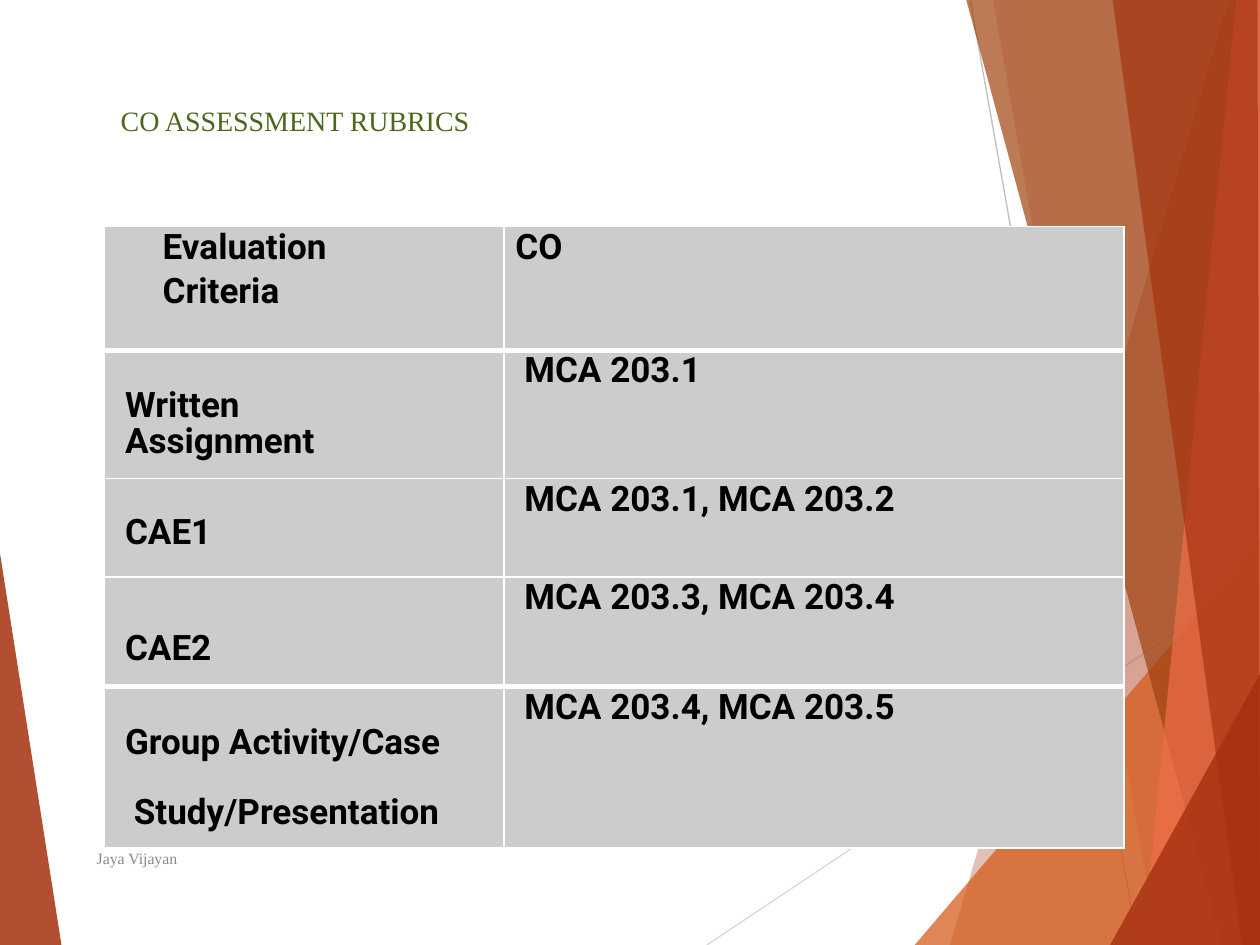
import pptx
import pptx.util
import pptx.dml.color
import pptx.enum.shapes
import pptx.enum.text
import pptx.oxml.ns
from lxml import etree

Cm, Pt = pptx.util.Cm, pptx.util.Pt
qn = pptx.oxml.ns.qn

WIDTH, HEIGHT = 25.4, 19.05
COLOURS = {
    "rust": "A5300F", "orange": "D55816", "brown": "A04210", "coral": "EE6E4A",
    "light_line": "D9D9D9", "grey_line": "BFBFBF", "cell": "CCCCCC",
    "border": "FFFFFF", "text": "000000", "footer": "898989", "title": "4D661B",
}
RAYS = [
    ((14.25, HEIGHT), (WIDTH, 11.61), "light_line"),
    ((19.56, 0), (22.94, HEIGHT), "grey_line"),
]
LEFT_FACET = ([(0, 11.15), (1.24, HEIGHT), (0, HEIGHT)], "rust", 85)
RIGHT_FACETS = [
    ([(24.77, 0), (19.15, HEIGHT), (WIDTH, HEIGHT), (WIDTH, 0)], "rust", 30),
    ([(20.02, 0), (23.34, HEIGHT), (WIDTH, HEIGHT), (WIDTH, 0)], "rust", 20),
    ([(18.44, HEIGHT), (WIDTH, 10.9), (WIDTH, HEIGHT)], "orange", 72),
    ([(19.48, 0), (24.64, HEIGHT), (WIDTH, HEIGHT), (WIDTH, 0)], "brown", 70),
    ([(24.92, 0), (23.04, HEIGHT), (WIDTH, HEIGHT), (WIDTH, 0)], "coral", 70),
    ([(22.43, 0), (25.04, HEIGHT), (WIDTH, HEIGHT), (25.35, 0)], "rust", 65),
    ([(22.38, HEIGHT), (WIDTH, 13.59), (WIDTH, HEIGHT)], "rust", 80),
]

INDENT = 0.41
COLUMN_WIDTHS = [8.05, 12.5]
# Each row: height, criteria top margin, criteria lines, outcome, outcome indent.
# Each line: text, indent, line spacing, space before.
RUBRICS = [
    (2.49, 0, [("Evaluation", 1.17, 1, 0), ("Criteria", 1.17, 1, 2)], "CO", 0.23),
    (2.59, 20, [("Written", INDENT, 1, 0), ("Assignment", INDENT, 0.5, 6)],
     "MCA 203.1", INDENT),
    (1.98, 19, [("CAE1", INDENT, 1, 0)], "MCA 203.1, MCA 203.2", INDENT),
    (2.21, 29, [("CAE2", INDENT, 1, 0)], "MCA 203.3, MCA 203.4", INDENT),
    (3.25, 20, [("Group Activity/Case", INDENT, 1, 0),
                ("Study/Presentation", 0.59, 0.6, 24)],
     "MCA 203.4, MCA 203.5", INDENT),
]
HEAVY_RULES_BELOW = {0, 3}


def rgb(name):
    return pptx.dml.color.RGBColor.from_string(COLOURS[name])


def add_run(paragraph, text, font, size, colour, bold=False):
    run = paragraph.add_run()
    run.text = text
    run.font.name = font
    run.font.size = Pt(size)
    run.font.bold = bold
    run.font.color.rgb = rgb(colour)


def add_facet(slide, points, colour, opacity):
    outline = slide.shapes.build_freeform(*map(Cm, points[0]), scale=1.0)
    outline.add_line_segments([(Cm(x), Cm(y)) for x, y in points[1:]], close=True)
    facet = outline.convert_to_shape()
    facet.shadow.inherit = False
    facet.line.fill.background()
    facet.fill.solid()
    facet.fill.fore_color.rgb = rgb(colour)
    shade = next(facet.fill._xPr.iter(qn("a:srgbClr")))
    etree.SubElement(shade, qn("a:alpha"), val=str(opacity * 1000))


def add_ray(slide, start, end, colour):
    ray = slide.shapes.add_connector(
        pptx.enum.shapes.MSO_CONNECTOR.STRAIGHT, *map(Cm, start + end))
    ray.line.color.rgb = rgb(colour)
    ray.line.width = Pt(0.75)
    etree.SubElement(ray._element.spPr, qn("a:effectLst"))


def place_line(shape, box, text, size, colour):
    shape.left, shape.top, shape.width, shape.height = map(Cm, box)
    frame = shape.text_frame
    frame.word_wrap = True
    frame.auto_size = pptx.enum.text.MSO_AUTO_SIZE.NONE
    frame.vertical_anchor = pptx.enum.text.MSO_ANCHOR.MIDDLE
    paragraph = frame.paragraphs[0]
    paragraph.alignment = pptx.enum.text.PP_ALIGN.LEFT
    add_run(paragraph, text, "Times New Roman", size, colour)


def set_borders(cell, top, bottom):
    properties = cell._tc.get_or_add_tcPr()
    for side, width in (("L", 1), ("R", 1), ("T", top), ("B", bottom)):
        edge = etree.SubElement(properties, qn(f"a:ln{side}"), w=str(Pt(width)))
        fill = etree.SubElement(edge, qn("a:solidFill"))
        etree.SubElement(fill, qn("a:srgbClr"), val=COLOURS["border"])


def fill_cell(cell, lines, top_margin, top_rule, bottom_rule):
    set_borders(cell, top_rule, bottom_rule)
    cell.fill.solid()
    cell.fill.fore_color.rgb = rgb("cell")
    cell.margin_left = cell.margin_right = cell.margin_bottom = 0
    cell.margin_top = Pt(top_margin)
    for number, (text, indent, spacing, before) in enumerate(lines):
        frame = cell.text_frame
        paragraph = frame.add_paragraph() if number else frame.paragraphs[0]
        properties = paragraph._p.get_or_add_pPr()
        properties.set("marL", str(Cm(indent)))
        properties.set("indent", "0")
        paragraph.line_spacing = spacing
        paragraph.space_before = Pt(before)
        add_run(paragraph, text, "Roboto", 20, "text", bold=True)


def add_rubrics(slide):
    total_height = sum(row[0] for row in RUBRICS)
    table = slide.shapes.add_table(
        len(RUBRICS), len(COLUMN_WIDTHS), Cm(2.11), Cm(4.57),
        Cm(sum(COLUMN_WIDTHS)), Cm(total_height)).table
    for column, width in zip(table.columns, COLUMN_WIDTHS):
        column.width = Cm(width)
    for index, (height, margin, criteria, outcome, indent) in enumerate(RUBRICS):
        table.rows[index].height = Cm(height)
        top_rule = 3 if index - 1 in HEAVY_RULES_BELOW else 1
        bottom_rule = 3 if index in HEAVY_RULES_BELOW else 1
        fill_cell(table.cell(index, 0), criteria, margin, top_rule, bottom_rule)
        fill_cell(table.cell(index, 1), [(outcome, indent, 1, 0)], 0,
                  top_rule, bottom_rule)


def main():
    deck = pptx.Presentation()
    deck.slide_width, deck.slide_height = Cm(WIDTH), Cm(HEIGHT)
    slide = deck.slides.add_slide(deck.slide_layouts[5])
    add_facet(slide, *LEFT_FACET)
    for ray in RAYS:
        add_ray(slide, *ray)
    for facet in RIGHT_FACETS:
        add_facet(slide, *facet)
    presenter = slide.shapes.add_textbox(0, 0, 0, 0)
    place_line(presenter, (1.7, 16.79, 12.85, 1.02), "Jaya Vijayan", 9, "footer")
    add_rubrics(slide)
    place_line(slide.shapes.title, (2.18, 1.96, 20.45, 0.94),
               "CO ASSESSMENT RUBRICS", 16, "title")
    deck.save("out.pptx")


if __name__ == "__main__":
    main()
